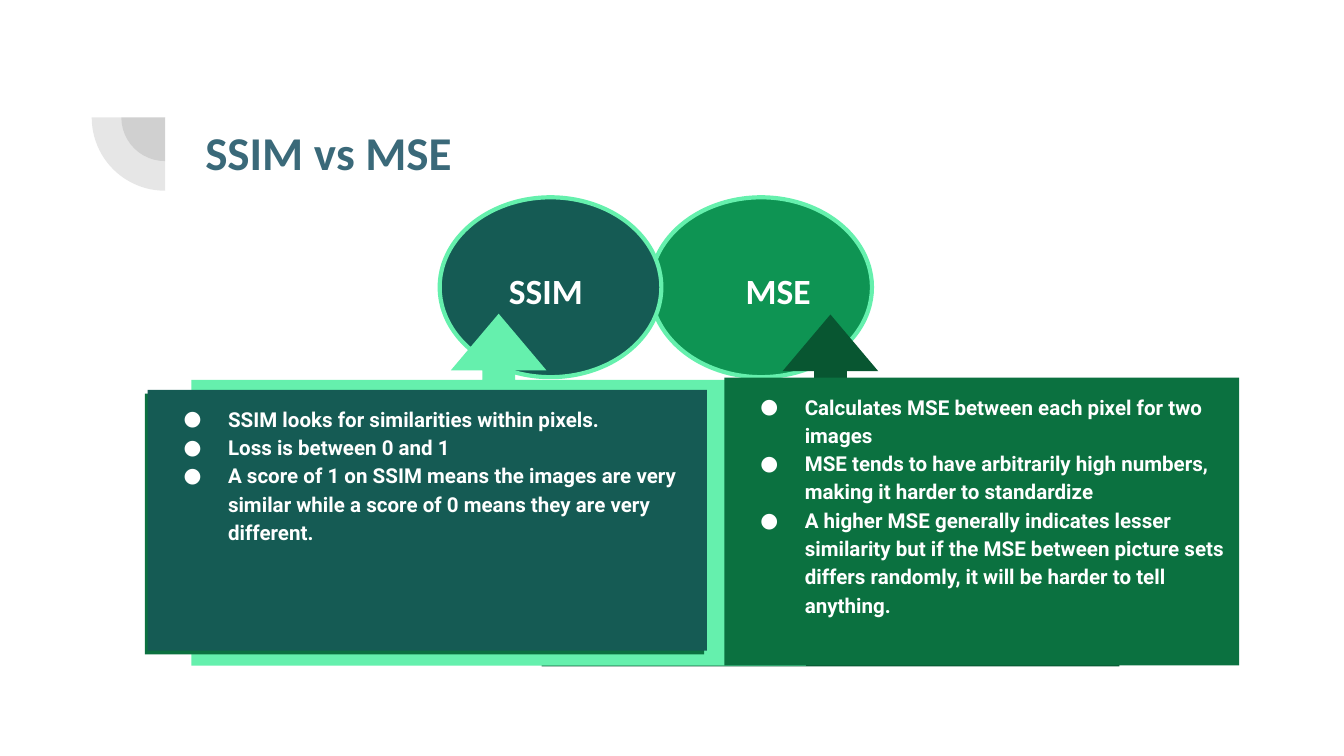
from lxml.etree import SubElement
from pptx import Presentation
from pptx.dml.color import RGBColor
from pptx.enum.shapes import MSO_SHAPE as Form
from pptx.enum.text import MSO_ANCHOR as Anchor, PP_ALIGN as Align
from pptx.oxml.ns import qn
from pptx.util import Cm, Pt

WHITE = RGBColor(0xFF, 0xFF, 0xFF)
GREY = RGBColor(0x42, 0x42, 0x42)
SLATE = RGBColor(0x3A, 0x69, 0x79)
TEAL = RGBColor(0x15, 0x5B, 0x54)
MINT = RGBColor(0x65, 0xF0, 0xAD)
GREEN = RGBColor(0x0E, 0x94, 0x53)
FOREST = RGBColor(0x0B, 0x71, 0x40)
DARK = RGBColor(0x08, 0x56, 0x31)

SSIM_NOTES = [
    "SSIM looks for similarities within pixels.",
    "Loss is between 0 and 1",
    "A score of 1 on SSIM means the images are very similar while a score "
    "of 0 means they are very different.",
]
MSE_NOTES = [
    "Calculates MSE between each pixel for two images",
    "MSE tends to have arbitrarily high numbers, making it harder to "
    "standardize",
    "A higher MSE generally indicates lesser similarity but if the MSE "
    "between picture sets differs randomly, it will be harder to tell "
    "anything.",
]


class Deck:
    head = "Calibri"
    body = "Roboto"
    pad = Cm(0.25)

    def __init__(self):
        self.prs = Presentation()
        self.prs.slide_width, self.prs.slide_height = Cm(25.4), Cm(14.29)
        self.slide = self.prs.slides.add_slide(self.prs.slide_layouts[6])

    def shape(self, form, box, fill, line=None, turn=0, adjust=()):
        shape = self.slide.shapes.add_shape(form, *map(Cm, box))
        shape.shadow.inherit = False
        shape.rotation = turn
        for i, value in enumerate(adjust):
            shape.adjustments[i] = value
        shape.fill.solid()
        shape.fill.fore_color.rgb = fill
        if line is None:
            shape.line.fill.background()
        else:
            shape.line.color.rgb = line
            shape.line.width = Pt(2.25)
        return shape

    def letter(self, shape, lines, font, size, color=WHITE, anchor=Anchor.TOP,
               align=Align.LEFT, space=1.15, dots=False):
        """Fill a shape with bold text, one paragraph a line."""
        frame = shape.text_frame
        frame.text = "\n".join(lines)
        frame.word_wrap = True
        frame.vertical_anchor = anchor
        frame.margin_left = frame.margin_right = self.pad
        frame.margin_top = frame.margin_bottom = self.pad
        for para in frame.paragraphs:
            para.alignment = align
            para.line_spacing = space
            if dots:
                self.bullet(para)
            for run in para.runs:
                run.font.name, run.font.size = font, Pt(size)
                run.font.bold = True
                run.font.color.rgb = color

    def bullet(self, para):
        props = para._p.get_or_add_pPr()
        props.set("marL", str(Cm(1.27)))
        props.set("indent", str(-Cm(0.84)))
        tint = SubElement(props, qn("a:buClr"))
        SubElement(tint, qn("a:srgbClr"), val=str(WHITE))
        SubElement(props, qn("a:buFont"), typeface=self.body)
        SubElement(props, qn("a:buChar"), char="●")

    def title(self, text, box):
        area = self.slide.shapes.add_textbox(*map(Cm, box))
        self.letter(area, [text], self.head, 25.2, SLATE, space=1)

    def fan(self, x, y, size):
        """Draw a faint quarter disc of the circle centred on x, y."""
        box = (x - size / 2, y - size / 2, size, size)
        pie = self.shape(Form.PIE, box, GREY, turn=270, adjust=(107.93, 162))
        tint = pie._element.spPr.find(".//" + qn("a:srgbClr"))
        SubElement(tint, qn("a:alpha"), val="13000")

    def disc(self, x, fill):
        self.shape(Form.OVAL, (x, 3.73, 4.19, 3.4), fill, MINT)

    def label(self, text, x, align, fill=None):
        box = (x, 4.95, 2.41, 0.97)
        if fill is None:
            area = self.slide.shapes.add_textbox(*map(Cm, box))
        else:
            area = self.shape(Form.RECTANGLE, box, fill)
        self.letter(area, [text], self.head, 19, anchor=Anchor.MIDDLE,
                    align=align)

    def callout(self, box, fill):
        self.shape(Form.RIGHT_ARROW_CALLOUT, box, fill, turn=270,
                   adjust=(0.093, 0.136, 0.161, 0.812))

    def card(self, lines, box, fill):
        card = self.shape(Form.RECTANGLE, box, fill)
        self.letter(card, lines, self.body, 11, dots=True)


def main():
    deck = Deck()
    for size in (1.65, 2.77):
        deck.fan(3.12, 2.22, size)

    deck.disc(12.29, GREEN)
    deck.label("MSE", 13.16, Align.RIGHT)
    deck.disc(8.31, TEAL)
    deck.label("SSIM", 9.37, Align.LEFT, TEAL)

    deck.callout((12.37, 3.81, 6.65, 10.92), DARK)
    deck.callout((6.1, 3.45, 6.65, 11.61), MINT)
    deck.shape(Form.SNIP_1_RECTANGLE, (2.74, 7.44, 10.57, 4.93), FOREST,
               adjust=(0,))
    deck.card(SSIM_NOTES, (2.79, 7.37, 10.57, 4.93), TEAL)
    deck.card(MSE_NOTES, (13.69, 7.14, 9.73, 5.44), FOREST)

    deck.title("SSIM vs MSE", (3.63, 2.08, 9.27, 1.65))
    deck.prs.save("out.pptx")


if __name__ == "__main__":
    main()
